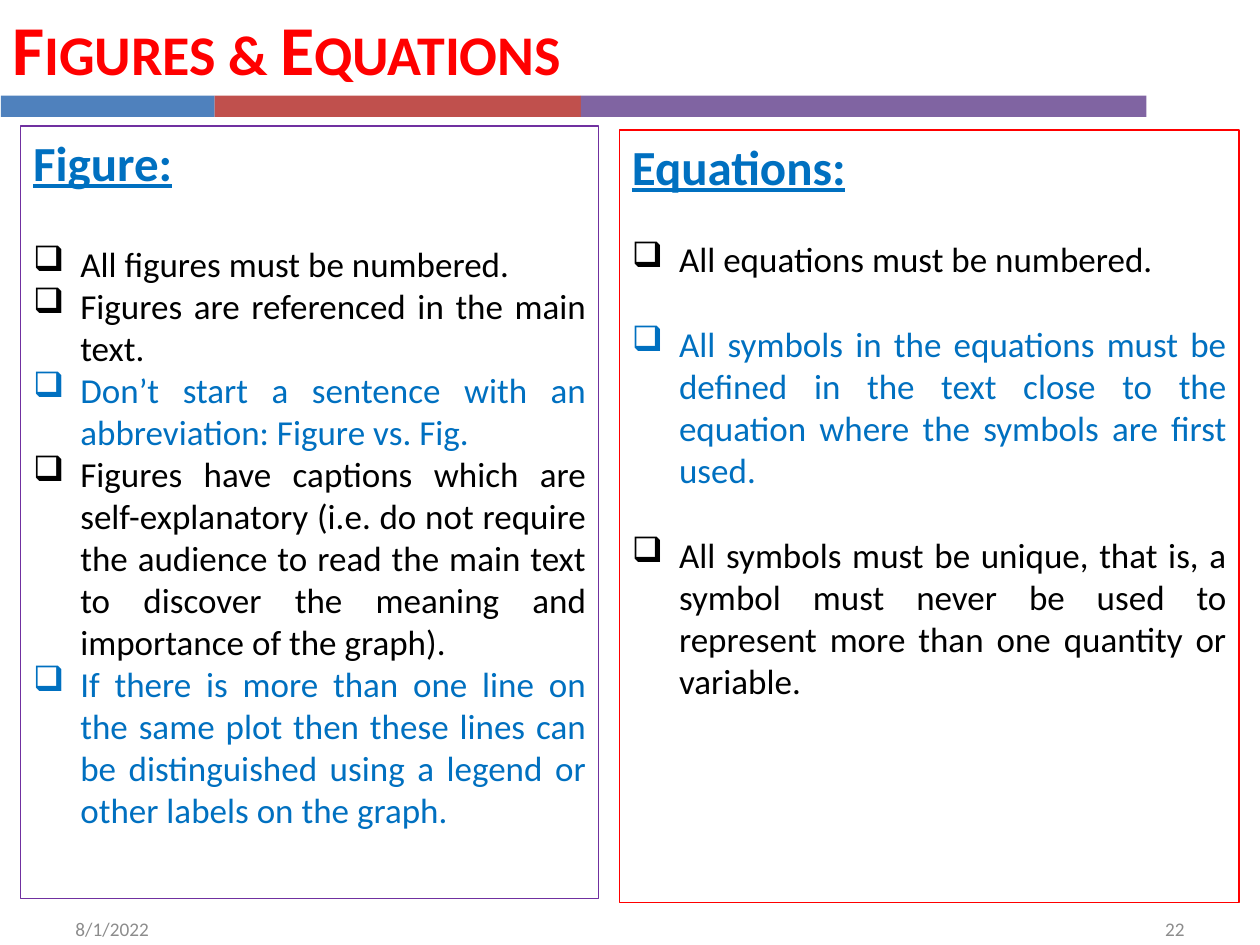
from dataclasses import dataclass

from lxml import etree
from pptx import Presentation
from pptx.dml.color import RGBColor
from pptx.enum.shapes import MSO_SHAPE
from pptx.enum.text import MSO_ANCHOR, PP_ALIGN
from pptx.oxml.ns import qn
from pptx.util import Cm, Pt

RECTANGLE = MSO_SHAPE.RECTANGLE
TOP, MIDDLE = MSO_ANCHOR.TOP, MSO_ANCHOR.MIDDLE
LEFT, RIGHT, JUSTIFY = PP_ALIGN.LEFT, PP_ALIGN.RIGHT, PP_ALIGN.JUSTIFY
FONT = "Calibri"
BLACK, BLUE, RED, PURPLE, GREY = "000000", "0070C0", "FF0000", "7030A0", "8C8C8C"
INDENT = Cm(0.95)


@dataclass
class Band:
    left: float
    width: float
    color: str


@dataclass
class Point:
    text: str
    color: str = BLACK


@dataclass
class Panel:
    left: float
    top: float
    width: float
    line: str
    heading: str
    first_gap: float  # points between the heading and the first point
    gap: float  # points between later points
    points: list[Point]


BANDS = [
    Band(0.02, 4.31, "4F81BD"),
    Band(4.33, 7.38, "C0504D"),
    Band(11.71, 11.4, "8064A2"),
]

PANELS = [
    Panel(0.42, 2.54, 11.65, PURPLE, "Figure:", 29.3, 0, [
        Point("All figures must be numbered."),
        Point("Figures are referenced in the main text."),
        Point("Don’t start a sentence with an abbreviation: Figure vs. Fig.", BLUE),
        Point("Figures have captions which are self-explanatory (i.e. do not "
              "require the audience to read the main text to discover the "
              "meaning and importance of the graph)."),
        Point("If there is more than one line on the same plot then these lines "
              "can be distinguished using a legend or other labels on the graph.",
              BLUE),
    ]),
    Panel(12.49, 2.62, 12.49, RED, "Equations:", 24.4, 24.4, [
        Point("All equations must be numbered."),
        Point("All symbols in the equations must be defined in the text close "
              "to the equation where the symbols are first used.", BLUE),
        Point("All symbols must be unique, that is, a symbol must never be used "
              "to represent more than one quantity or variable."),
    ]),
]


def rgb(color: str) -> RGBColor:
    return RGBColor.from_string(color)


def write(para, text: str, *, size: float, color: str, align=LEFT, bold=False,
          underline=False, small_caps=False, before: float = 0) -> None:
    para.alignment = align
    para.space_before = Pt(before)
    span = para.add_run()
    span.text = text
    font = span.font
    font.name, font.size = FONT, Pt(size)
    font.bold, font.underline = bold, underline
    font.color.rgb = rgb(color)
    if small_caps:
        span._r.get_or_add_rPr().set("cap", "small")


def add_bullet(para) -> None:
    properties = para._p.get_or_add_pPr()
    properties.set("marL", str(INDENT))
    properties.set("indent", str(-INDENT))
    etree.SubElement(properties, qn("a:buChar")).set("char", "❑")


def add_rectangle(page, left: float, top: float, width: float, height: float,
                  *, fill: str = "", line: str = ""):
    box = page.shapes.add_shape(RECTANGLE, Cm(left), Cm(top), Cm(width), Cm(height))
    box.shadow.inherit = False
    if fill:
        box.fill.solid()
        box.fill.fore_color.rgb = rgb(fill)
    else:
        box.fill.background()
    if line:
        box.line.color.rgb = rgb(line)
        box.line.width = Pt(0.75)
    else:
        box.line.fill.background()
    return box


def add_label(page, text: str, left: float, top: float, width: float,
              height: float, **text_format) -> None:
    box = page.shapes.add_textbox(Cm(left), Cm(top), Cm(width), Cm(height))
    frame = box.text_frame
    frame.word_wrap = True
    frame.vertical_anchor = MIDDLE
    write(frame.paragraphs[0], text, **text_format)


def add_panel(page, panel: Panel) -> None:
    box = add_rectangle(page, panel.left, panel.top, panel.width, 15.57,
                        line=panel.line)
    frame = box.text_frame
    frame.word_wrap = True
    frame.vertical_anchor = TOP
    write(frame.paragraphs[0], panel.heading, size=28, color=BLUE, bold=True,
          underline=True)
    for index, point in enumerate(panel.points):
        para = frame.add_paragraph()
        write(para, point.text, size=20, color=point.color, align=JUSTIFY,
              before=panel.gap if index else panel.first_gap)
        add_bullet(para)


def main() -> None:
    deck = Presentation()
    deck.slide_width, deck.slide_height = Cm(25.4), Cm(19.05)
    page = deck.slides.add_slide(deck.slide_layouts[6])

    # Title and the coloured bar below it
    for band in BANDS:
        add_rectangle(page, band.left, 1.93, band.width, 0.43, fill=band.color)
    add_label(page, "Figures & Equations", 0, 0, 23.11, 1.93, size=40, color=RED,
              bold=True, small_caps=True)

    # Date and page number
    add_label(page, "8/1/2022", 1.27, 18.21, 5.92, 1.02, size=11, color=GREY)
    add_label(page, "22", 18.21, 18.21, 5.92, 1.02, size=11, color=GREY, align=RIGHT)

    # Two panels of advice
    for panel in PANELS:
        add_panel(page, panel)

    deck.save("out.pptx")


if __name__ == "__main__":
    main()
